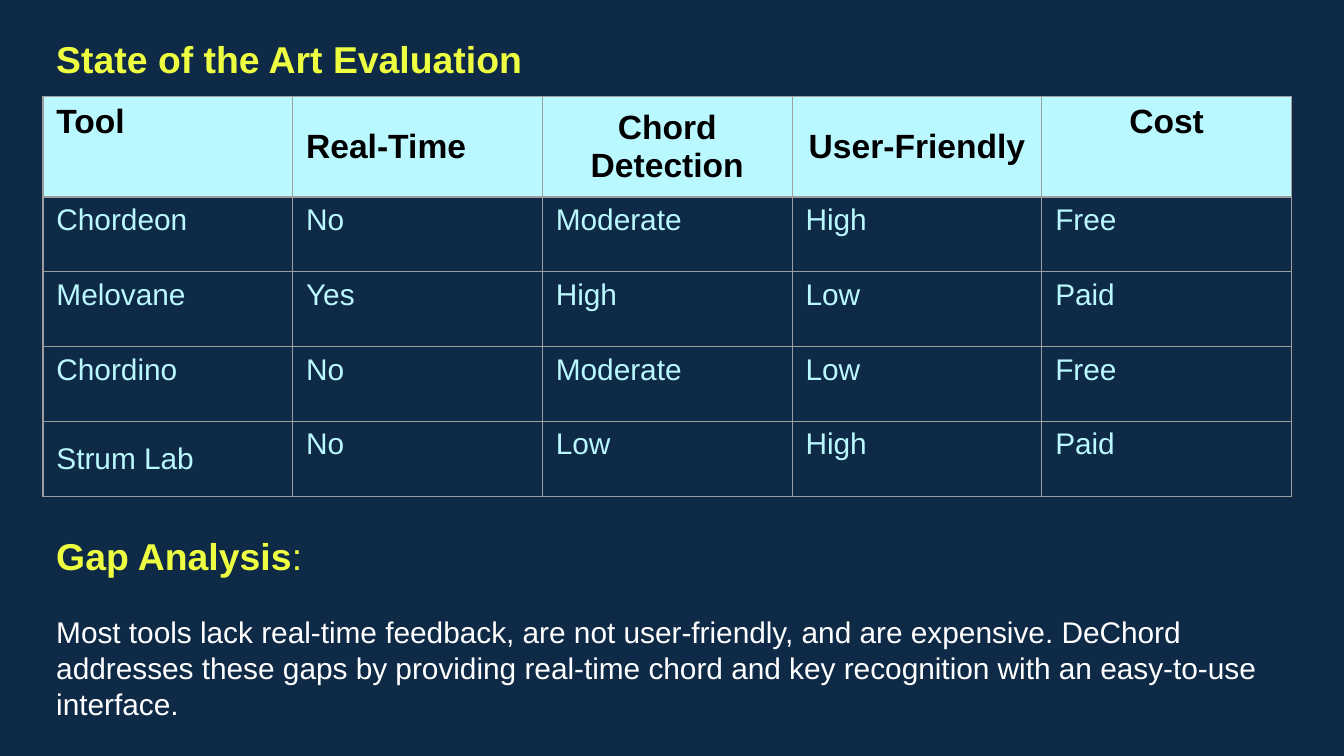
import dataclasses

import lxml.etree
import pptx
import pptx.dml.color
import pptx.enum.text
import pptx.oxml.ns
import pptx.util

ANCHOR = pptx.enum.text.MSO_ANCHOR
ALIGN = pptx.enum.text.PP_ALIGN


@dataclasses.dataclass(frozen=True)
class Theme:
    font: str = "Arial"
    background: str = "0E2A47"
    accent: str = "EEFF41"
    pale: str = "BAF8FF"
    dark: str = "000000"
    white: str = "FFFFFF"
    border: str = "9E9E9E"
    heading: int = 20
    header: int = 18
    body: int = 16
    border_width: float = 0.75


def rgb(value):
    return pptx.dml.color.RGBColor.from_string(value)


class SlideBuilder:
    """Places elements by percentages of the slide's width and height."""

    def __init__(self, deck, theme):
        self.deck, self.theme = deck, theme
        self.slide = deck.slides.add_slide(deck.slide_layouts[6])
        fill = self.slide.background.fill
        fill.solid()
        fill.fore_color.rgb = rgb(theme.background)

    def across(self, percent):
        return round(self.deck.slide_width * percent / 100)

    def down(self, percent):
        return round(self.deck.slide_height * percent / 100)

    def frame(self, left, top, width, height):
        return (self.across(left), self.down(top),
                self.across(width), self.down(height))

    def span(self, para, text, size, color, bold=False):
        span = para.add_run()
        span.text = text
        span.font.name = self.theme.font
        span.font.size = pptx.util.Pt(size)
        span.font.bold = bold
        span.font.color.rgb = rgb(color)

    def text(self, place, paragraphs, gap=0):
        """Each paragraph is a list of runs; gap is the points between them."""
        box = self.slide.shapes.add_textbox(*self.frame(*place))
        frame = box.text_frame
        frame.word_wrap = True
        frame.margin_left = frame.margin_right = pptx.util.Inches(0.1)
        frame.margin_top = frame.margin_bottom = pptx.util.Inches(0.05)
        for index, runs in enumerate(paragraphs):
            para = frame.add_paragraph() if index else frame.paragraphs[0]
            para.space_before = pptx.util.Pt(gap if index else 0)
            for run in runs:
                self.span(para, *run)

    def borders(self, cell):
        properties = cell._tc.get_or_add_tcPr()
        width = str(pptx.util.Pt(self.theme.border_width))
        for position, side in enumerate(("lnL", "lnR", "lnT", "lnB")):
            line = lxml.etree.Element(pptx.oxml.ns.qn(f"a:{side}"), w=width)
            solid = lxml.etree.SubElement(line, pptx.oxml.ns.qn("a:solidFill"))
            lxml.etree.SubElement(solid, pptx.oxml.ns.qn("a:srgbClr"),
                                  val=self.theme.border)
            properties.insert(position, line)

    def table(self, place, rows, row_heights, middle, centered):
        """middle and centered hold the (row, column) cells so aligned."""
        theme = self.theme
        table = self.slide.shapes.add_table(
            len(rows), len(rows[0]), *self.frame(*place)).table
        for row, height in zip(table.rows, row_heights):
            row.height = self.down(height)
        for r, words in enumerate(rows):
            for c, word in enumerate(words):
                cell = table.cell(r, c)
                if r == 0:
                    cell.fill.solid()
                    cell.fill.fore_color.rgb = rgb(theme.pale)
                else:
                    cell.fill.background()
                cell.vertical_anchor = ANCHOR.MIDDLE if (r, c) in middle else ANCHOR.TOP
                para = cell.text_frame.paragraphs[0]
                para.alignment = ALIGN.CENTER if (r, c) in centered else ALIGN.LEFT
                style = ((theme.header, theme.dark, True) if r == 0
                         else (theme.body, theme.pale))
                self.span(para, word, *style)
                self.borders(cell)


def main():
    deck = pptx.Presentation()
    deck.slide_width = pptx.util.Inches(10)
    deck.slide_height = deck.slide_width * 9 // 16
    theme = Theme()
    page = SlideBuilder(deck, theme)
    left, width = 3.2, 92.9

    rows = [
        ("Tool", "Real-Time", "Chord Detection", "User-Friendly", "Cost"),
        ("Chordeon", "No", "Moderate", "High", "Free"),
        ("Melovane", "Yes", "High", "Low", "Paid"),
        ("Chordino", "No", "Moderate", "Low", "Free"),
        ("Strum Lab", "No", "Low", "High", "Paid"),
    ]
    heights = [13.25] + [9.9] * (len(rows) - 1)
    page.table((left, 12.8, width, sum(heights)), rows, heights,
               middle={(0, 1), (0, 2), (0, 3), (4, 0)},
               centered={(0, 2), (0, 3), (0, 4)})

    page.text((left, 3.9, width, 7.8),
              [[("State of the Art Evaluation", theme.heading, theme.accent, True)]])
    page.text((left, 69.7, width, 26.8), [
        [("Gap Analysis", theme.heading, theme.accent, True),
         (":", theme.heading, theme.accent)],
        [("Most tools lack real-time feedback, are not user-friendly, and are "
          "expensive. DeChord addresses these gaps by providing real-time chord "
          "and key recognition with an easy-to-use interface.",
          theme.body, theme.white)],
    ], gap=19)
    deck.save("out.pptx")


if __name__ == "__main__":
    main()
